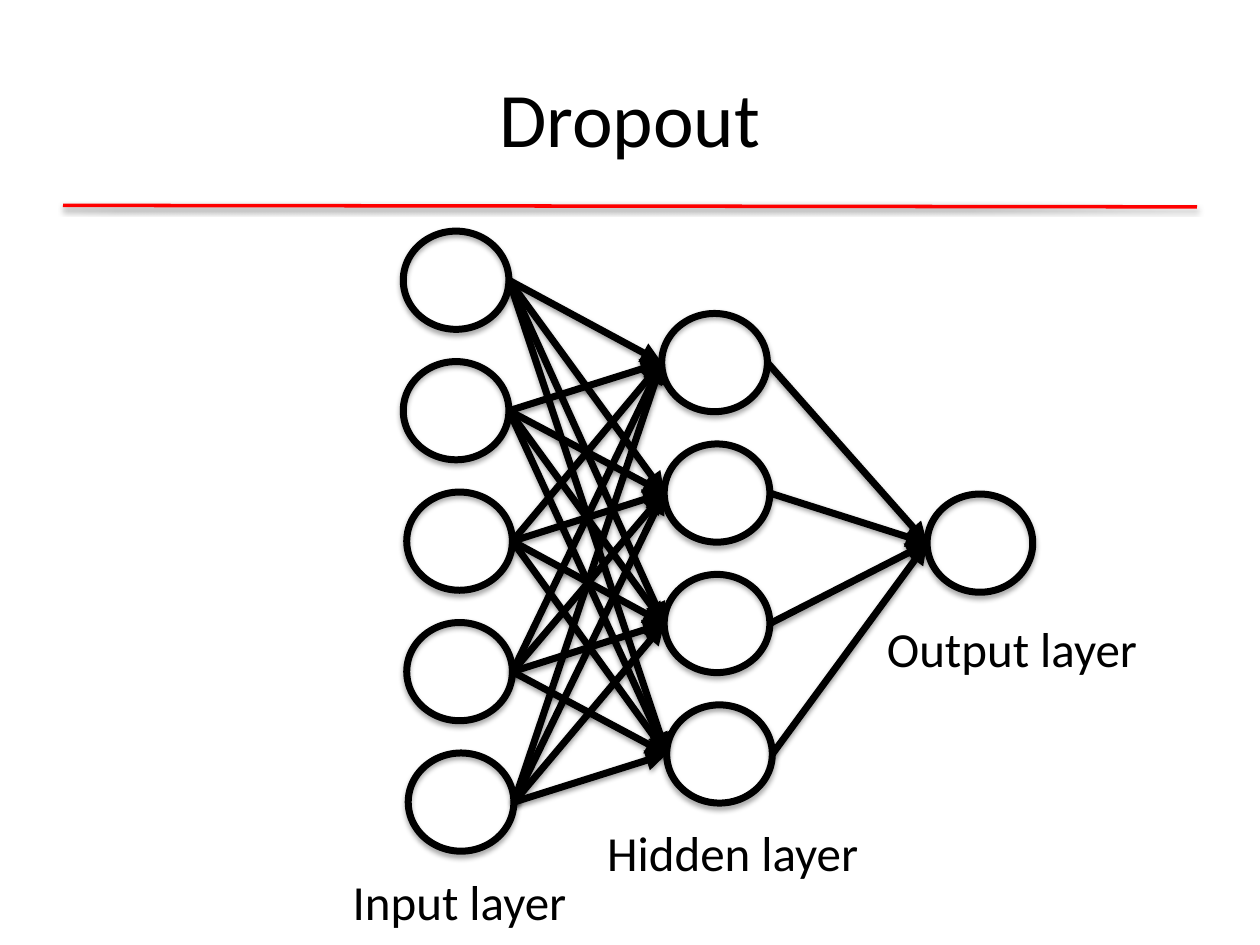
from itertools import product

from lxml.etree import SubElement
from pptx import Presentation
from pptx.dml.color import RGBColor
from pptx.enum.shapes import MSO_CONNECTOR as CONNECTOR, MSO_SHAPE as SHAPE
from pptx.enum.text import MSO_ANCHOR as ANCHOR, MSO_AUTO_SIZE as AUTO_SIZE, PP_ALIGN as ALIGN
from pptx.oxml.ns import qn
from pptx.util import Cm, Pt

COLORS = {"ink": "000000", "rule": "FF0000"}
FONT = "Calibri"
NODE_WIDTH, NODE_HEIGHT, NODE_PITCH = 2.13, 1.98, 2.63
LAYERS = [
    {"top": 0.04, "lefts": [0, 0, 0.07, 0.07, 0.1]},
    {"top": 1.7, "lefts": [5.21, 5.26, 5.26, 5.31]},
    {"top": 5.34, "lefts": [10.56]},
]
LABELS = [
    ("Input layer", 6.86, 17.45, 4.88),
    ("Hidden layer", 11.99, 16.46, 5.61),
    ("Output layer", 17.63, 12.34, 5.61),
]


def color(name):
    return RGBColor.from_string(COLORS[name])


def add_shadow(shape, distance, opacity):
    effects = SubElement(shape._element.spPr, qn("a:effectLst"))
    shadow = SubElement(effects, qn("a:outerShdw"), blurRad=str(Pt(3.1)),
                        dist=str(Pt(distance)), dir="5400000", rotWithShape="0")
    tint = SubElement(shadow, qn("a:srgbClr"), val=COLORS["ink"])
    SubElement(tint, qn("a:alpha"), val=str(opacity * 1000))


def add_line(slide, start, end, line_color, width, arrow=False):
    line = slide.shapes.add_connector(
        CONNECTOR.STRAIGHT, *(Cm(value) for value in (*start, *end)))
    line.line.color.rgb = color(line_color)
    line.line.width = Pt(width)
    if arrow:
        SubElement(line.line._get_or_add_ln(), qn("a:tailEnd"), type="triangle")
    add_shadow(line, 1.6, 38)


def add_run(paragraph, text, size):
    run = paragraph.add_run()
    run.text = text
    run.font.name = FONT
    run.font.size = Pt(size)
    run.font.color.rgb = color("ink")


def add_header(slide, left, top, width, height):
    add_line(slide, (left, top + 3.38), (left + width, top + 3.41), "rule", 2)
    title = slide.shapes.title
    title.left, title.top, title.width, title.height = (
        Cm(value) for value in (left, top, width, height))
    title.text_frame.vertical_anchor = ANCHOR.MIDDLE
    paragraph = title.text_frame.paragraphs[0]
    paragraph.alignment = ALIGN.CENTER
    add_run(paragraph, "Dropout", 44)


def add_node(slide, left, top):
    node = slide.shapes.add_shape(
        SHAPE.OVAL, Cm(left), Cm(top), Cm(NODE_WIDTH), Cm(NODE_HEIGHT))
    node.fill.background()
    node.line.color.rgb = color("ink")
    node.line.width = Pt(4)
    add_shadow(node, 1.8, 35)


def add_network(slide, left, top):
    layers = [
        [(left + x, top + layer["top"] + row * NODE_PITCH)
         for row, x in enumerate(layer["lefts"])]
        for layer in LAYERS
    ]
    for layer in layers:
        for position in layer:
            add_node(slide, *position)
    for sources, targets in zip(layers, layers[1:]):
        for (source_x, source_y), (target_x, target_y) in product(sources, targets):
            add_line(slide, (source_x + NODE_WIDTH, source_y + NODE_HEIGHT / 2),
                     (target_x, target_y + NODE_HEIGHT / 2), "ink", 4, arrow=True)


def add_label(slide, text, left, top, width):
    label = slide.shapes.add_textbox(Cm(left), Cm(top), Cm(width), Cm(1.45))
    label.text_frame.word_wrap = False
    label.text_frame.auto_size = AUTO_SIZE.SHAPE_TO_FIT_TEXT
    add_run(label.text_frame.paragraphs[0], text, 28)


def main():
    presentation = Presentation()
    presentation.slide_width, presentation.slide_height = Cm(25.4), Cm(19.05)
    slide = presentation.slides.add_slide(presentation.slide_layouts[5])
    add_header(slide, 1.27, 0.76, 22.86, 3.18)
    add_network(slide, 8.13, 4.62)
    for label in LABELS:
        add_label(slide, *label)
    presentation.save("out.pptx")


if __name__ == "__main__":
    main()
